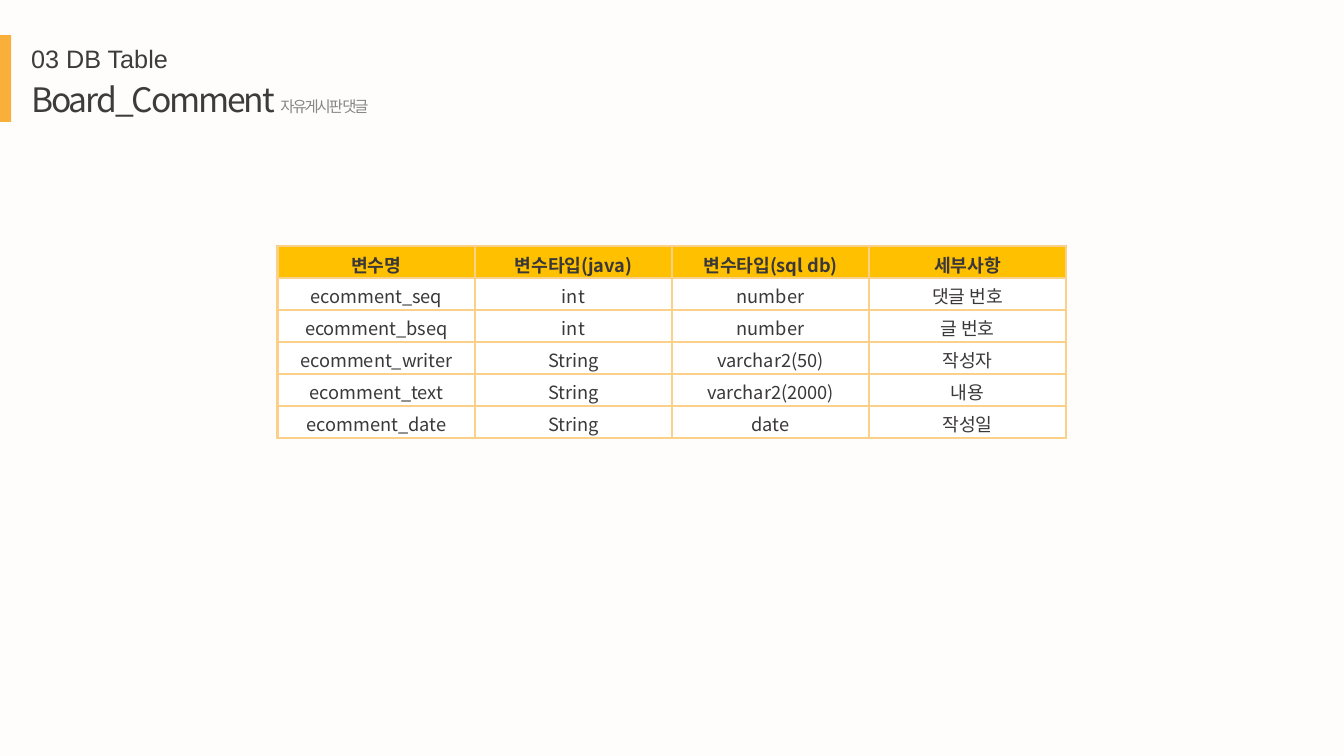
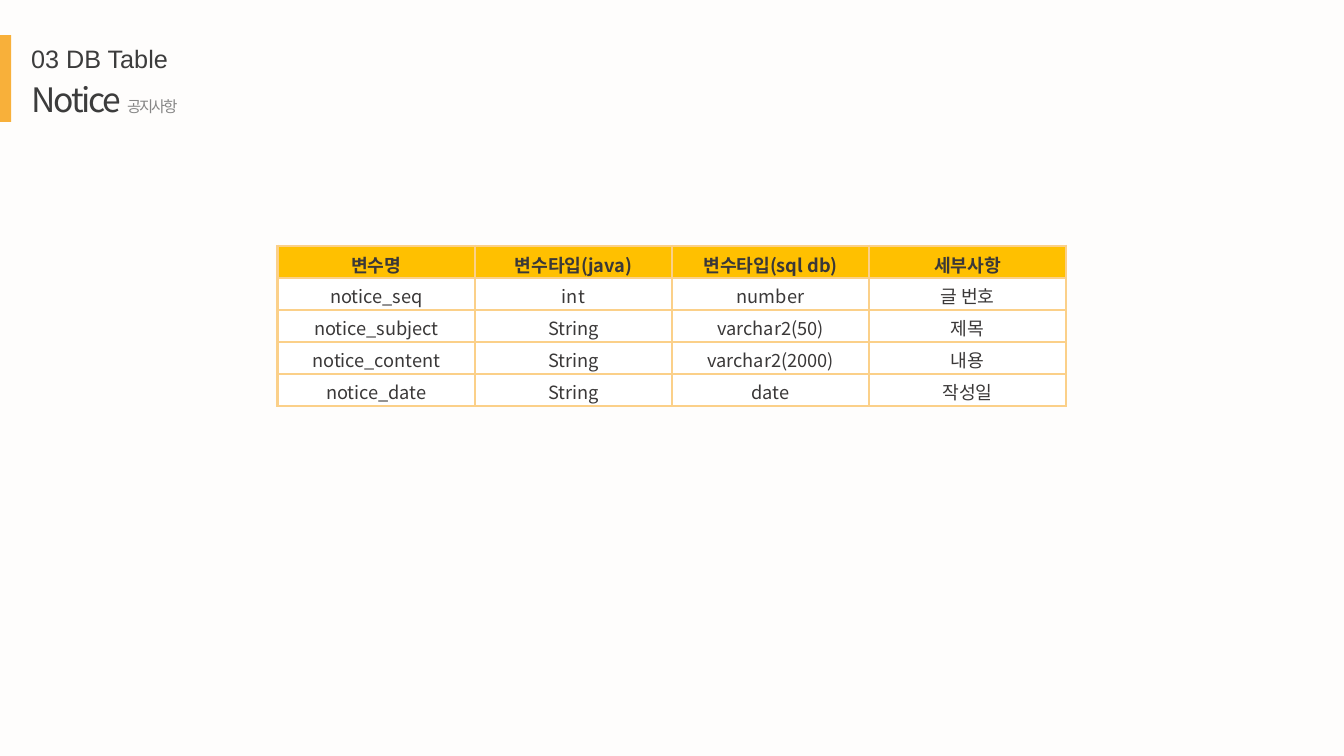
import pptx
import pptx.dml.color
import pptx.enum.shapes
import pptx.enum.text
import pptx.oxml
import pptx.oxml.ns
import pptx.util

BACKGROUND = pptx.dml.color.RGBColor(0xFE, 0xFD, 0xFC)
ACCENT = pptx.dml.color.RGBColor(0xF8, 0xB0, 0x3A)
HEADING = pptx.dml.color.RGBColor(0x3C, 0x3C, 0x3C)
SUBTITLE = pptx.dml.color.RGBColor(0x86, 0x86, 0x86)
TABLE_TEXT = pptx.dml.color.RGBColor(0x3A, 0x38, 0x38)
HEADER_FILL = pptx.dml.color.RGBColor(0xFF, 0xC0, 0x00)
BODY_FILL = pptx.dml.color.RGBColor(0xFF, 0xFF, 0xFF)
BORDER = pptx.dml.color.RGBColor(0xFB, 0xD0, 0x89)

KOREAN_FONT = "Noto Sans CJK KR"
TITLE_FORMAT = {"name": KOREAN_FONT, "size": pptx.util.Pt(24)}
SUBTITLE_FORMAT = {"name": KOREAN_FONT, "size": pptx.util.Pt(11)}
SECTION_FORMAT = {"name": "Arial", "size": pptx.util.Pt(18)}
HEADER_FORMAT = {"name": KOREAN_FONT, "size": pptx.util.Pt(13), "bold": True}
BODY_FORMAT = {**HEADER_FORMAT, "bold": False}

presentation = pptx.Presentation()
presentation.slide_width = pptx.util.Inches(13.33)
presentation.slide_height = pptx.util.Inches(7.5)
WIDTH = presentation.slide_width

TEXT_LEFT = pptx.util.Inches(0.21)
BAR_TOP = pptx.util.Inches(0.35)
BAR_WIDTH = pptx.util.Inches(0.11)
BAR_HEIGHT = pptx.util.Inches(0.86)
SECTION_TOP = pptx.util.Inches(0.38)
TITLE_TOP = pptx.util.Inches(0.73)
TITLE_WIDTH = pptx.util.Inches(3.62)
TABLE_WIDTH = pptx.util.Inches(7.82)
TABLE_LEFT = (WIDTH - TABLE_WIDTH) // 2
TABLE_TOP = pptx.util.Inches(2.44)
ROW_HEIGHT = pptx.util.Pt(22.85)

COLUMNS = ("변수명", "변수타입(java)", "변수타입(sql db)", "세부사항")
TABLES = [
    ("Board_Comment ", "자유게시판 댓글", [
        ("ecomment_seq", "int", "number", "댓글 번호"),
        ("ecomment_bseq", "int", "number", "글 번호"),
        ("ecomment_writer", "String", "varchar2(50)", "작성자"),
        ("ecomment_text", "String", "varchar2(2000)", "내용"),
        ("ecomment_date", "String", "date", "작성일"),
    ]),
    ("Notice ", "공지사항", [
        ("notice_seq", "int", "number", "글 번호"),
        ("notice_subject", "String", "varchar2(50)", "제목"),
        ("notice_content", "String", "varchar2(2000)", "내용"),
        ("notice_date", "String", "date", "작성일"),
    ]),
]


def add_run(paragraph, text, font_format, color, spacing=0):
    run = paragraph.add_run()
    run.text = text
    for name, value in font_format.items():
        setattr(run.font, name, value)
    run.font.color.rgb = color
    properties = run._r.get_or_add_rPr()
    if spacing:
        properties.set("spc", str(spacing))
    east_asian = pptx.oxml.parse_xml(
        f'<a:ea {pptx.oxml.ns.nsdecls("a")} typeface="{font_format["name"]}"/>')
    properties.find(pptx.oxml.ns.qn("a:latin")).addnext(east_asian)


def add_borders(cell):
    properties = cell._tc.get_or_add_tcPr()
    for side in ("lnL", "lnR", "lnT", "lnB"):
        properties.append(pptx.oxml.parse_xml(
            f'<a:{side} {pptx.oxml.ns.nsdecls("a")} w="{pptx.util.Pt(2.25)}">'
            f'<a:solidFill><a:srgbClr val="{BORDER}"/></a:solidFill></a:{side}>'))


background = presentation.slide_master.background.fill
background.solid()
background.fore_color.rgb = BACKGROUND
title_only = presentation.slide_layouts.get_by_name("Title Only")

for table_name, description, fields in TABLES:
    slide = presentation.slides.add_slide(title_only)

    bar = slide.shapes.add_shape(
        pptx.enum.shapes.MSO_SHAPE.RECTANGLE, 0, BAR_TOP, BAR_WIDTH, BAR_HEIGHT)
    bar.shadow.inherit = False
    bar.fill.solid()
    bar.fill.fore_color.rgb = ACCENT
    bar.line.fill.background()

    title = slide.shapes.title
    title.left, title.top = TEXT_LEFT, TITLE_TOP
    title.width, title.height = TITLE_WIDTH, pptx.util.Inches(0.5)
    section = slide.shapes.add_textbox(
        TEXT_LEFT, SECTION_TOP, pptx.util.Inches(1.57), pptx.util.Inches(0.4))
    for shape in (title, section):
        shape.text_frame.word_wrap = True
        shape.text_frame.auto_size = pptx.enum.text.MSO_AUTO_SIZE.NONE
        shape.text_frame.vertical_anchor = pptx.enum.text.MSO_ANCHOR.TOP
        shape.text_frame.paragraphs[0].alignment = pptx.enum.text.PP_ALIGN.LEFT
    heading = title.text_frame.paragraphs[0]
    add_run(heading, table_name, TITLE_FORMAT, HEADING, -150)
    add_run(heading, description, SUBTITLE_FORMAT, SUBTITLE, -150)
    add_run(section.text_frame.paragraphs[0], "03 DB Table", SECTION_FORMAT, HEADING)

    rows = [COLUMNS, *fields]
    table = slide.shapes.add_table(
        len(rows), len(COLUMNS), TABLE_LEFT, TABLE_TOP,
        TABLE_WIDTH, ROW_HEIGHT * len(rows)).table
    table.horz_banding = False
    for row_index, values in enumerate(rows):
        is_header = row_index == 0
        for column_index, value in enumerate(values):
            cell = table.cell(row_index, column_index)
            cell.margin_top = pptx.util.Inches(0.05)
            cell.margin_bottom = 0
            add_borders(cell)
            cell.fill.solid()
            cell.fill.fore_color.rgb = HEADER_FILL if is_header else BODY_FILL
            paragraph = cell.text_frame.paragraphs[0]
            paragraph.alignment = pptx.enum.text.PP_ALIGN.CENTER
            add_run(paragraph, value, HEADER_FORMAT if is_header else BODY_FORMAT, TABLE_TEXT)

presentation.save("out.pptx")
